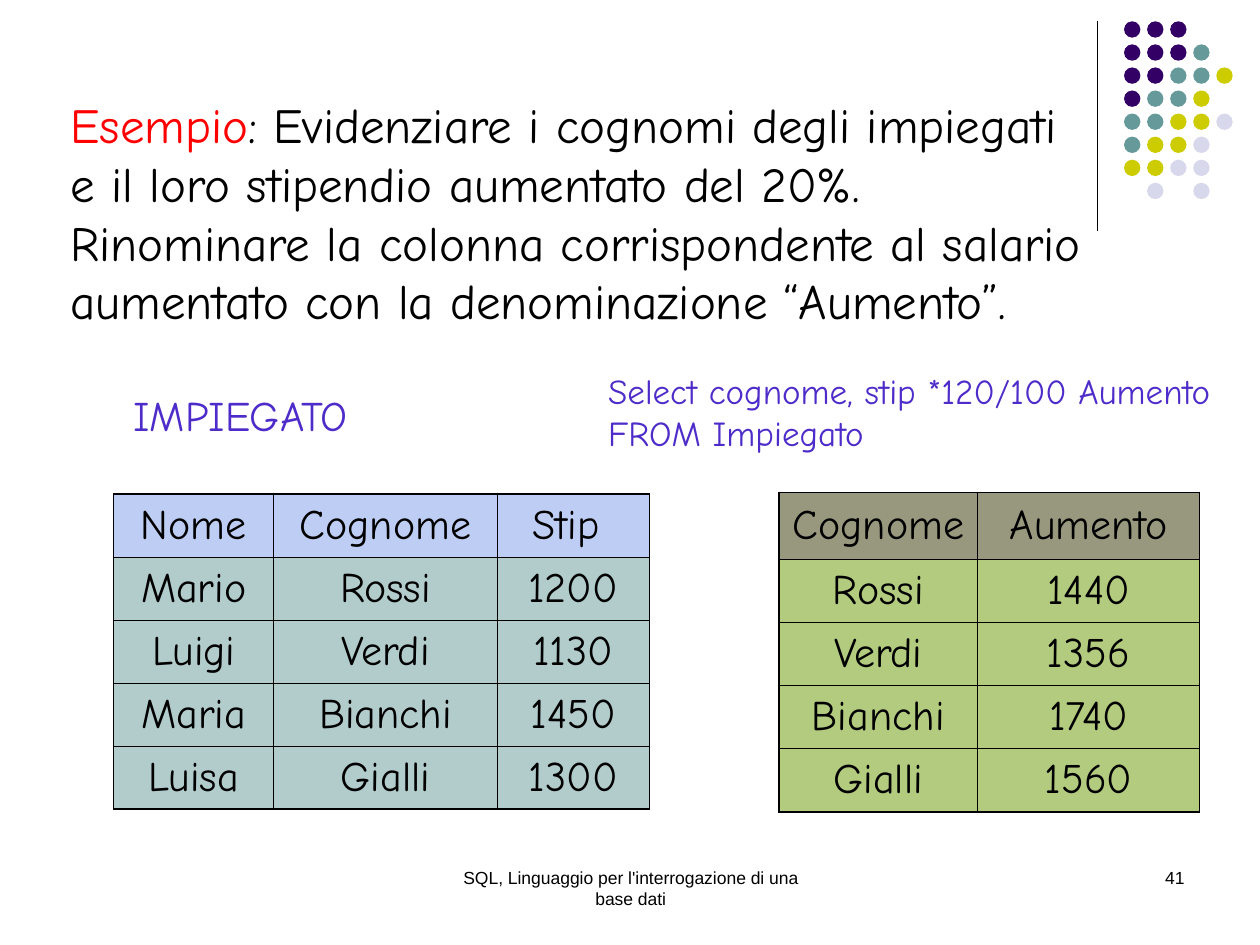
import pptx
import pptx.dml.color
import pptx.enum.shapes
import pptx.enum.text
import pptx.oxml
import pptx.oxml.ns
import pptx.util

Cm = pptx.util.Cm
Pt = pptx.util.Pt
ALIGN = pptx.enum.text.PP_ALIGN
BLACK, RED, VIOLET = "000000", "FF0000", "4E2CCA"
HAND = "Comic Neue"

DOT_COLORS = {"P": "330066", "T": "669999", "Y": "CCCC00", "L": "D8D8EC"}
DOT_ROWS = ["PPP", "PPPT", "PPTTY", "PTTY", "TTYYL", "TYYL", "YYLL", " L L"]

EMPLOYEES = [
    ("Nome", "Cognome", "Stip "),
    ("Mario", "Rossi", "1200"),
    ("Luigi", "Verdi", "1130"),
    ("Maria", "Bianchi", "1450"),
    ("Luisa", "Gialli", "1300"),
]
RAISES = [
    ("Cognome", "Aumento"),
    ("Rossi", "1440"),
    ("Verdi", "1356"),
    ("Bianchi", "1740"),
    ("Gialli", "1560"),
]


def rgb(color):
    return pptx.dml.color.RGBColor.from_string(color)


def add_run(p, text, size, color=BLACK, font=HAND):
    r = p.add_run()
    r.text = text
    for name, value in {"name": font, "size": Pt(size)}.items():
        setattr(r.font, name, value)
    r.font.color.rgb = rgb(color)


def add_text(s, box, lines, size, font=HAND, align=ALIGN.LEFT, wrap=False):
    """Add a text box; each line is a list of (text, color) runs."""
    tf = s.shapes.add_textbox(*map(Cm, box)).text_frame
    tf.word_wrap = wrap
    if not wrap:
        tf.auto_size = pptx.enum.text.MSO_AUTO_SIZE.SHAPE_TO_FIT_TEXT
    for i, runs in enumerate(lines):
        p = tf.paragraphs[0] if i == 0 else tf.add_paragraph()
        p.alignment = align
        for text, color in runs:
            add_run(p, text, size, color, font)


def add_divider(s):
    line = s.shapes.add_connector(
        pptx.enum.shapes.MSO_CONNECTOR.STRAIGHT, Cm(22.12), Cm(0.43), Cm(22.12), Cm(4.65))
    line.line.color.rgb = rgb(BLACK)
    line.line.width = Pt(0.75)
    sp_pr = line._element.spPr
    sp_pr.append(sp_pr.makeelement(pptx.oxml.ns.qn("a:effectLst"), {}))


def add_dots(s, left=22.66, top=0.43, pitch=0.465, size=0.33):
    group = s.shapes.add_group_shape()
    for row, codes in enumerate(DOT_ROWS):
        for col, code in enumerate(codes):
            if code == " ":
                continue
            sp = group.shapes.add_shape(
                pptx.enum.shapes.MSO_SHAPE.OVAL,
                Cm(left + col * pitch), Cm(top + row * pitch), Cm(size), Cm(size))
            sp.shadow.inherit = False
            sp.fill.solid()
            sp.fill.fore_color.rgb = rgb(DOT_COLORS[code])
            sp.line.fill.background()


def fill_half(cell, color):
    """Fill a cell with a colour at 50 % opacity."""
    cell.fill.solid()
    cell.fill.fore_color.rgb = rgb(color)
    clr = cell._tc.tcPr.find(".//" + pptx.oxml.ns.qn("a:srgbClr"))
    clr.append(clr.makeelement(pptx.oxml.ns.qn("a:alpha"), {"val": "50000"}))


def set_borders(cell, outer):
    """Draw the four sides, thicker where outer (left, right, top, bottom) is true."""
    for i, (side, thick) in enumerate(zip("LRTB", outer)):
        width = Pt(1.08 if thick else 0.45)
        cell._tc.tcPr.insert(i, pptx.oxml.parse_xml(
            f'<a:ln{side} {pptx.oxml.ns.nsdecls("a")} w="{width}"><a:solidFill>'
            f'<a:srgbClr val="{BLACK}"/></a:solidFill></a:ln{side}>'))


def add_grid(s, left, top, widths, heights, rows, head, body, margin):
    table = s.shapes.add_table(
        len(rows), len(widths), Cm(left), Cm(top), Cm(sum(widths)), Cm(sum(heights))).table
    for column, width in zip(table.columns, widths):
        column.width = Cm(width)
    for row, height in zip(table.rows, heights):
        row.height = Cm(height)
    for i, values in enumerate(rows):
        for j, value in enumerate(values):
            cell = table.cell(i, j)
            cell_format = {
                "margin_left": Cm(margin), "margin_right": Cm(margin),
                "vertical_anchor": pptx.enum.text.MSO_ANCHOR.MIDDLE,
            }
            for name, setting in cell_format.items():
                setattr(cell, name, setting)
            fill_half(cell, head if i == 0 else body)
            set_borders(cell, (j == 0, j == len(widths) - 1, i == 0, i == len(rows) - 1))
            p = cell.text_frame.paragraphs[0]
            p.alignment = ALIGN.CENTER
            add_run(p, value, 24)


def main():
    prs = pptx.Presentation()
    prs.slide_width, prs.slide_height = Cm(25.4), Cm(19.05)
    s = prs.slides.add_slide(prs.slide_layouts[6])

    add_divider(s)
    add_dots(s)
    add_text(s, (8.69, 17.35, 8.05, 1.27),
             [[("SQL, Linguaggio per l'interrogazione di una base dati", BLACK)]],
             10, "Arial", ALIGN.CENTER, True)
    add_text(s, (18.21, 17.35, 5.92, 1.27), [[("41", BLACK)]], 10, "Arial", ALIGN.RIGHT, True)
    add_text(s, (1.17, 1.78, 21.26, 5), [
        [("Esempio", RED), (": Evidenziare i cognomi degli impiegati", BLACK)],
        [("e il loro stipendio aumentato del 20%.", BLACK)],
        [("Rinominare la colonna corrispondente al salario", BLACK)],
        [("aumentato con la denominazione “Aumento”.", BLACK)],
    ], 28)

    add_grid(s, 15.7, 9.93, (4.01, 4.47), [1.35] + [1.27] * 4, RAISES,
             "333300", "669900", 0.2)
    add_grid(s, 2.29, 9.96, (3.23, 4.5, 3.07), [1.27] * 5, EMPLOYEES,
             "7E9CE8", "669999", 0.25)

    add_text(s, (2.44, 7.72, 4.95, 1.27), [[("IMPIEGATO", VIOLET)]], 24)
    add_text(s, (12.01, 7.32, 12.67, 1.96), [
        [("Select cognome, stip *120/100 Aumento", VIOLET)],
        [("FROM Impiegato", VIOLET)],
    ], 20)
    prs.save("out.pptx")


if __name__ == "__main__":
    main()
